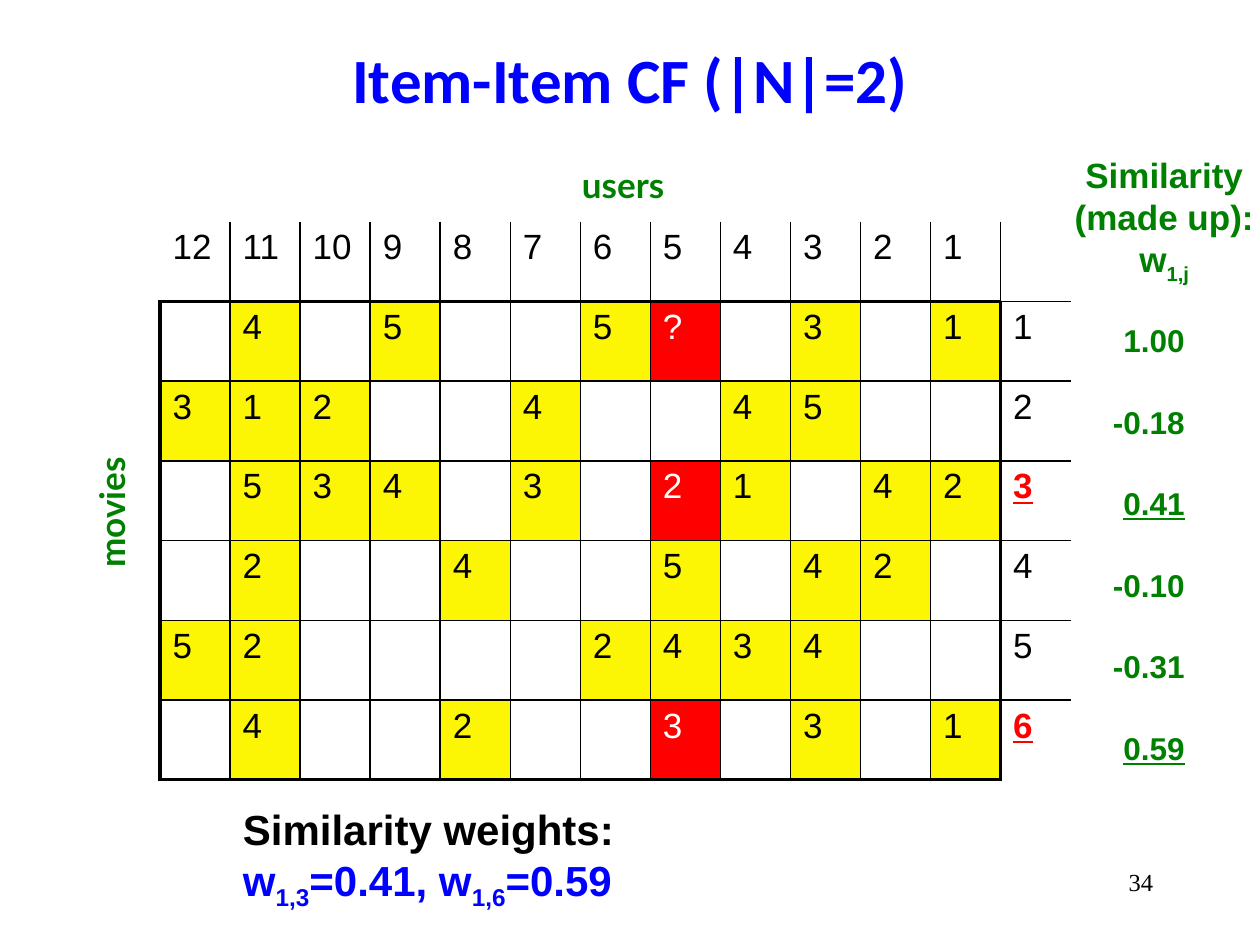
from lxml import etree
from pptx import Presentation
from pptx.dml.color import RGBColor
from pptx.enum.text import MSO_ANCHOR, PP_ALIGN
from pptx.oxml.ns import qn
from pptx.util import Inches, Pt

BLACK, WHITE, BLUE, GREEN = "000000", "FFFFFF", "0000FF", "008000"
RED, YELLOW = "FF0000", "FCF604"

prs = Presentation()
prs.slide_width, prs.slide_height = Inches(10), Inches(7.5)
s = prs.slides.add_slide(prs.slide_layouts[6])


def style(r, size, font, color, bold=True):
    r.font.size = Pt(size)
    r.font.name = font
    r.font.bold = bold
    r.font.color.rgb = RGBColor.from_string(color)


def add_text(box, lines, size, font, color, bold=True, align=PP_ALIGN.LEFT):
    """Add a text box; text between underscores becomes subscript."""
    sp = s.shapes.add_textbox(*[Inches(v) for v in box])
    tf = sp.text_frame
    tf.word_wrap = True
    for i, line in enumerate(lines):
        p = tf.paragraphs[0] if i == 0 else tf.add_paragraph()
        p.alignment = align
        for j, piece in enumerate(line.split("_")):
            if piece:
                r = p.add_run()
                r.text = piece
                style(r, size, font, color, bold)
                if j % 2:
                    r.font._element.set("baseline", "-25000")
    return sp


# Title
sp = add_text((0.5, 0, 9, 1.25), ["Item-Item CF (|N|=2)"], 36, "Calibri", BLUE,
              align=PP_ALIGN.CENTER)
sp.text_frame.vertical_anchor = MSO_ANCHOR.MIDDLE

# Ratings table: user numbers on top, movie numbers in the last column
ratings = [
    "12 11 10 9 8 7 6 5 4 3 2 1 .",
    ". 4 . 5 . . 5 ? . 3 . 1 1",
    "3 1 2 . . 4 . . 4 5 . . 2",
    ". 5 3 4 . 3 . 2 1 . 4 2 3",
    ". 2 . . 4 . . 5 . 4 2 . 4",
    "5 2 . . . . 2 4 3 4 . . 5",
    ". 4 . . 2 . . 3 . 3 . 1 6",
]
LAST_COL, TARGET_COL = 12, 7
NEIGHBOURS = (3, 6)
RED_ROWS = (1,) + NEIGHBOURS
THIN, THICK = 1, 2.25

table = s.shapes.add_table(7, 13, Inches(1.27), Inches(1.76),
                           Inches(7.23), Inches(4.43)).table
table.first_row = table.horz_banding = False

for row, line in enumerate(ratings):
    # Line widths, left to right, in this row
    v_lines = [THICK if row else 0] + [THIN] * 11 + [THICK if row else THIN, 0]
    for col, value in enumerate(line.split()):
        # Line widths, top to bottom, in this column
        if col == LAST_COL:
            h_lines = [0] + [THIN] * 6 + [0]
        else:
            h_lines = [0, THICK] + [THIN] * 5 + [THICK]
        cell = table.cell(row, col)
        tcPr = cell._tc.get_or_add_tcPr()
        widths = {"a:lnL": v_lines[col], "a:lnR": v_lines[col + 1],
                  "a:lnT": h_lines[row], "a:lnB": h_lines[row + 1]}
        for side, width in widths.items():
            ln = etree.SubElement(tcPr, qn(side), w=str(int(Pt(width))))
            if width:
                fill = etree.SubElement(ln, qn("a:solidFill"))
                etree.SubElement(fill, qn("a:srgbClr"), val=BLACK)
            else:
                etree.SubElement(ln, qn("a:noFill"))

        rated = row > 0 and col < LAST_COL and value != "."
        target = col == TARGET_COL and row in RED_ROWS
        neighbour = col == LAST_COL and row in NEIGHBOURS
        if rated:
            cell.fill.solid()
            cell.fill.fore_color.rgb = RGBColor.from_string(RED if target else YELLOW)
        else:
            cell.fill.background()
        if value != ".":
            cell.text_frame.text = value
            r = cell.text_frame.paragraphs[0].runs[0]
            color = WHITE if target else RED if neighbour else BLACK
            style(r, 20, "Arial", color, neighbour)
            r.font.underline = neighbour

# Axis labels
add_text((4.52, 1.25, 1.19, 0.44), ["users"], 20, "Lato", GREEN)
sp = add_text((0.16, 3.66, 1.45, 0.44), ["movies"], 20, "Lato", GREEN)
sp.rotation = 270

# Similarity column
add_text((8.39, 1.17, 1.7, 1.11), ["Similarity (made up):", "w_1,j_"], 20, "Arial",
         GREEN, align=PP_ALIGN.CENTER)
sp = add_text((8.52, 2.5, 0.98, 3.74),
              ["1.00", "-0.18", "0.41", "-0.10", "-0.31", "0.59"], 18, "Arial",
              GREEN, align=PP_ALIGN.RIGHT)
for movie, p in enumerate(sp.text_frame.paragraphs, start=1):
    if movie > 1:
        p.space_before = Pt(25)
    p.runs[0].font.underline = movie in NEIGHBOURS

# Chosen weights
sp = add_text((1.83, 6.33, 4.67, 0.91),
              ["Similarity weights:", "w_1,3_=0.41, w_1,6_=0.59"], 24, "Arial", BLUE)
sp.text_frame.paragraphs[0].runs[0].font.color.rgb = RGBColor.from_string(BLACK)

# Slide number
add_text((7.17, 6.83, 2.08, 0.5), ["34"], 14, "Times New Roman", BLACK, False,
         PP_ALIGN.RIGHT)

prs.save("out.pptx")
